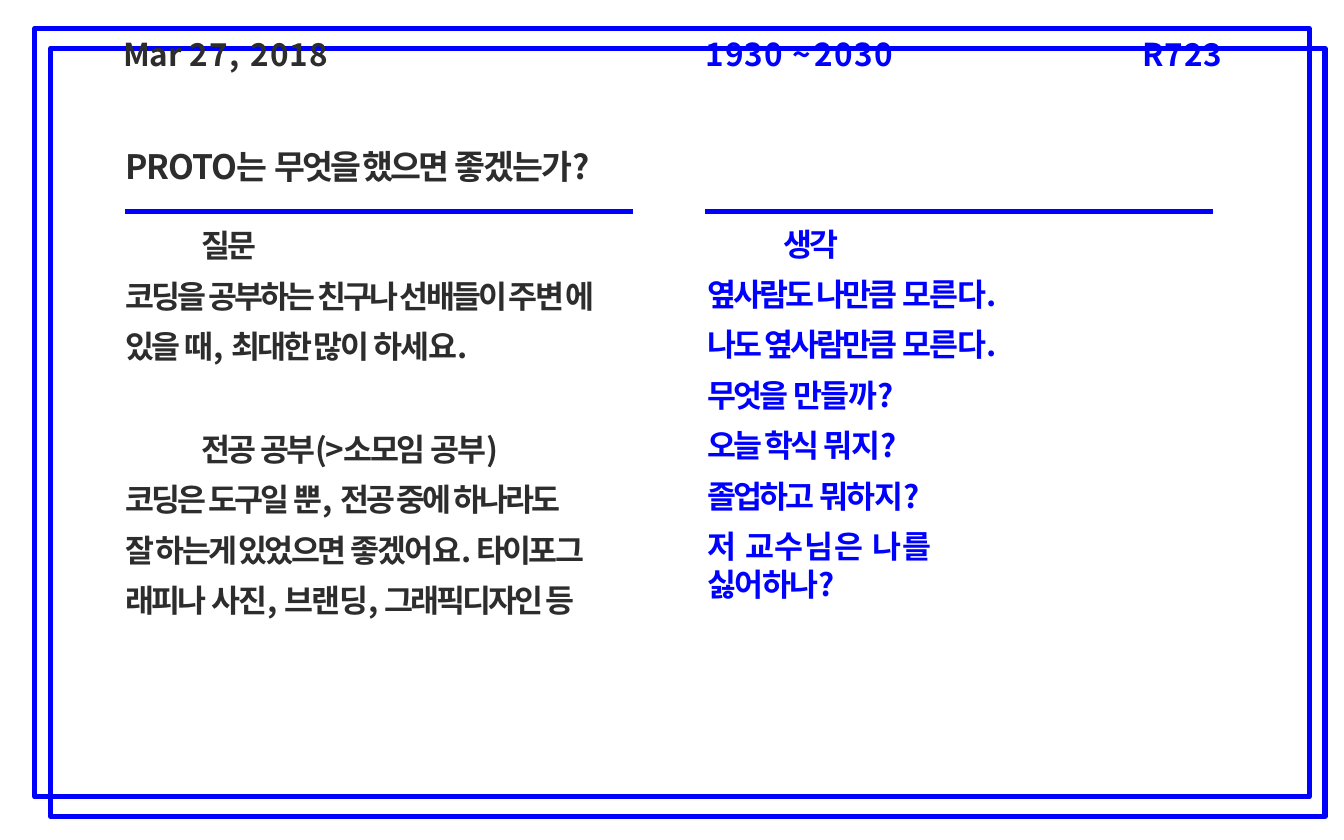
import pptx
import pptx.dml.color
import pptx.enum.shapes
import pptx.enum.text
import pptx.oxml
import pptx.util
from pptx.util import Inches

FONT = "Noto Sans CJK KR"
BLUE = "0000FF"
DARK = "2D2D2D"


def color(value):
    return pptx.dml.color.RGBColor.from_string(value)


def add_text(left, top, width, height, text_color, paragraphs, inset=0.01):
    """Each paragraph is (size, line points, points before, first indent, runs).

    A run is (text, letter spacing in points); a None run is a line break.
    """
    shape = slide.shapes.add_textbox(Inches(left), Inches(top), Inches(width), Inches(height))
    frame = shape.text_frame
    frame.word_wrap = True
    frame.margin_left = frame.margin_right = frame.margin_bottom = 0
    frame.margin_top = Inches(inset)
    for index, (size, line, before, indent, runs) in enumerate(paragraphs):
        paragraph = frame.paragraphs[0] if index == 0 else frame.add_paragraph()
        properties = paragraph._p.get_or_add_pPr()
        properties.set("marL", str(Inches(0.01)))
        properties.set("indent", str(Inches(indent)))
        paragraph.line_spacing = pptx.util.Pt(line)
        paragraph.space_before = pptx.util.Pt(before)
        for item in runs:
            if item is None:
                paragraph.add_line_break()
                continue
            run = paragraph.add_run()
            run.text, spacing = item
            run.font.size = pptx.util.Pt(size)
            run.font.bold = True
            run.font.color.rgb = color(text_color)
            run.font.name = FONT
            run_properties = run._r.get_or_add_rPr()
            run_properties.set("spc", str(round(spacing * 100)))
            east_asian = pptx.oxml.parse_xml(
                '<a:ea xmlns:a="http://schemas.openxmlformats.org/drawingml/2006/main" '
                f'typeface="{FONT}"/>')
            run_properties.append(east_asian)


presentation = pptx.Presentation()
presentation.slide_width = Inches(17.78)
presentation.slide_height = Inches(11.11)
slide = presentation.slides.add_slide(presentation.slide_layouts[6])

# Double frame
for left, top in ((0.67, 0.64), (0.46, 0.38)):
    frame_shape = slide.shapes.add_shape(
        pptx.enum.shapes.MSO_SHAPE.RECTANGLE,
        Inches(left), Inches(top), Inches(16.86), Inches(10.16))
    frame_shape.shadow.inherit = False
    frame_shape.fill.background()
    frame_shape.line.color.rgb = color(BLUE)
    frame_shape.line.width = pptx.util.Pt(5)

# Header: date, time, room
headers = (
    (1.62, 2.9, DARK, [("Mar ", -0.1), ("27, ", 1.6), ("2018", 1.2)]),
    (15.1, 1.3, BLUE, [("R723", 0.9)]),
    (9.32, 2.8, BLUE, [("1930 ", 1.2), ("~ ", -3.6), ("2030", 1.2)]),
)
for left, width, header_color, runs in headers:
    add_text(left, 0.46, width, 0.53, header_color, [(30, 36, 0, 0, runs)])

# Left column: question and advice
add_text(1.65, 1.92, 6.65, 6.23, DARK, [
    (32, 38.4, 0, 0, [("PROTO는 ", -1.1), ("무엇을 했으면 ", -2.9), ("좋겠는가?", -1.6)]),
    (30, 48, 26, 1, [("질문", -2.7)]),
    (30, 48, 0, 0, [
        ("코딩을 공부하는 친구나 선배들이 주변 에", -2.7), None,
        ("있을 ", -2.7), ("때, ", -0.1), ("최대한 많이 ", -2.7), ("하세요.", -1.4)]),
    (30, 48, 50, 1, [
        ("전공 ", -2.7), ("공부(>소모임 ", -2.4), ("공부)", -1.8), None,
        ("코딩은 도구일 ", -2.7), ("뿐, ", -0.1), ("전공 중에 하나라도", -2.7)]),
    (30, 48, 0, 0, [
        ("잘 하는게 있었으면 ", -2.7), ("좋겠어요. ", -1.7), ("타이포그", -2.7), None,
        ("래피나 ", -2.7), ("사진, ", -1), ("브랜딩, ", -1.4), ("그래픽디자인 등", -2.7)]),
])

# Right column: thoughts
thoughts = (
    ("옆사람도 나만큼 ", "모른다.", -1.4),
    ("나도 옆사람만큼 ", "모른다.", -1.4),
    ("무엇을 ", "만들까?", -1.2),
    ("오늘 학식 ", "뭐지?", -0.8),
    ("졸업하고 ", "뭐하지?", -1.2),
)
add_text(9.35, 2.79, 4.74, 4.69, BLUE, [
    (30, 36, 0, 1, [("생각", -2.7)]),
    *((30, 48, 0, 0, [(opening, -2.7), (ending, spacing)])
      for opening, ending, spacing in thoughts),
    (30, 36, 12, 0, [("저 교수님은 나를", 0.8), None, ("싫어하나?", -1.6)]),
], inset=0.18)

# Column rules
for left in (1.66, 9.33):
    rule = slide.shapes.add_connector(
        pptx.enum.shapes.MSO_CONNECTOR.STRAIGHT,
        Inches(left), Inches(2.8), Inches(left + 6.72), Inches(2.8))
    rule.line.color.rgb = color(BLUE)
    rule.line.width = pptx.util.Pt(5)
    rule._element.spPr.append(pptx.oxml.parse_xml(
        '<a:effectLst xmlns:a="http://schemas.openxmlformats.org/drawingml/2006/main"/>'))

presentation.save("out.pptx")
